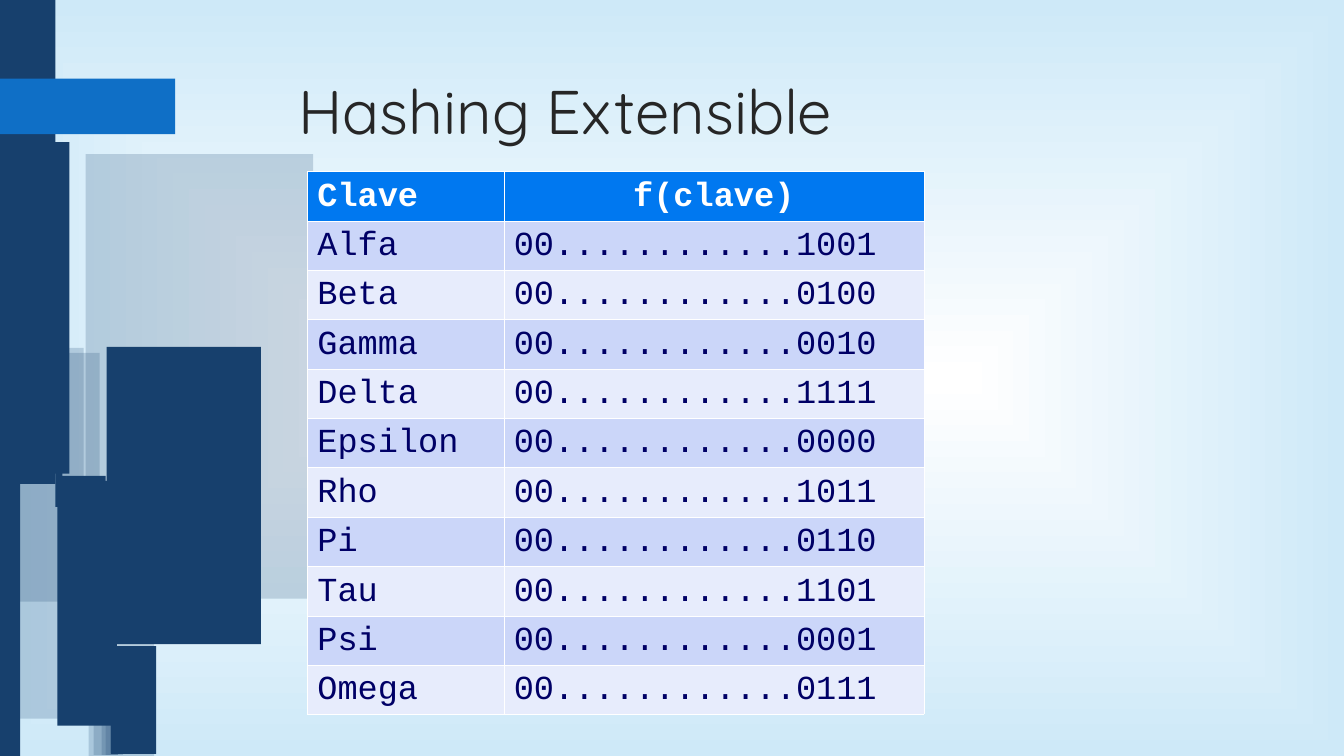
from lxml.etree import SubElement
from pptx import Presentation
from pptx.dml.color import RGBColor
from pptx.enum.shapes import MSO_SHAPE
from pptx.enum.text import MSO_ANCHOR, PP_ALIGN
from pptx.oxml import parse_xml
from pptx.oxml.ns import nsdecls, qn
from pptx.util import Inches, Pt

NAVY, BLUE, WHITE = "17406D", "0F6FC6", "FFFFFF"
HEADER_FILL, BAND_FILLS, BODY_TEXT = "0078F0", ("CBD6F9", "E7ECFC"), "000066"

PALE_BLOCKS = [
    (0, 2.82, 0.09, 0.67), (0.14, 3.45, 0.69, 2.52), (0.88, 5.96, 0.65, 1.54),
    (1.05, 7.11, 0.17, 0.38), (0.11, 3.5, 0.88, 3.63), (0.85, 1.53, 2.26, 4.41),
    (1.01, 7.14, 0.16, 0.35), (0.93, 6.83, 0.24, 0.66),
]
SOLID_BLOCKS = [
    (0.03, 0, 0.52, 4.8), (0.6, 4.72, 0.45, 1.71), (1.1, 6.41, 0.45, 1.07),
    (0.57, 4.77, 0.59, 2.43), (0.51, 1.41, 0.18, 3.29), (1.22, 7.19, 0.13, 0.29),
    (0.55, 4.49, 0.07, 0.54), (1.06, 3.44, 1.53, 2.95), (1.17, 7.22, 0.12, 0.26),
    (1.06, 6.45, 0.14, 0.72), (1.06, 6.31, 0.03, 0.23), (1.1, 6.91, 0.21, 0.56),
    (0, 0, 0.2, 7.5),
]
HASHES = [
    ("Alfa", "1001"), ("Beta", "0100"), ("Gamma", "0010"), ("Delta", "1111"),
    ("Epsilon", "0000"), ("Rho", "1011"), ("Pi", "0110"), ("Tau", "1101"),
    ("Psi", "0001"), ("Omega", "0111"),
]


def color(value):
    """Turn a hex string into a colour."""
    return RGBColor.from_string(value)


def paint_background(page):
    """Fill the page with a gradient that is white in the centre."""
    fill = page.background.fill
    fill.gradient()
    for stop, value in zip(fill.gradient_stops, (WHITE, "CEE9F8")):
        stop.color.rgb = color(value)
    gradient = page.background._cSld.find(".//" + qn("a:gradFill"))
    gradient.replace(gradient.find(qn("a:lin")), parse_xml(
        f'<a:path {nsdecls("a")} path="rect">'
        '<a:fillToRect l="50000" t="50000" r="50000" b="50000"/></a:path>'))


def add_block(page, box, value, opacity=100):
    """Draw one plain rectangle, with its opacity in percent."""
    block = page.shapes.add_shape(MSO_SHAPE.RECTANGLE, *map(Inches, box))
    block.shadow.inherit = False
    block.line.fill.background()
    block.fill.solid()
    block.fill.fore_color.rgb = color(value)
    if opacity < 100:
        tone = block.fill._xPr.find(".//" + qn("a:srgbClr"))
        SubElement(tone, qn("a:alpha"), val=str(opacity * 1000))


def add_decoration(page, left, top):
    """Place the blocks along the left side of the page."""
    layers = [(PALE_BLOCKS, NAVY, 20), (SOLID_BLOCKS, NAVY, 100),
              ([(0, 0.78, 1.74, 0.55)], BLUE, 100)]
    for blocks, value, opacity in layers:
        for x, y, width, height in blocks:
            add_block(page, (left + x, top + y, width, height), value, opacity)


def set_font(para, name, size, value, bold=False):
    """Set the font of a whole paragraph."""
    font = para.font
    font.name, font.size, font.bold = name, Pt(size), bold
    font.color.rgb = color(value)


def add_title(page, box, text):
    """Write the page title in its box."""
    frame = page.shapes.add_textbox(*map(Inches, box)).text_frame
    frame.word_wrap = True
    frame.text = text
    set_font(frame.paragraphs[0], "Quicksand", 44, "262626")


def add_borders(cell, widths):
    """Draw white cell borders with widths in points: left, right, top, bottom."""
    properties = cell._tc.get_or_add_tcPr()
    for index, (side, width) in enumerate(zip("LRTB", widths)):
        properties.insert(index, parse_xml(
            f'<a:ln{side} {nsdecls("a")} w="{Pt(width)}"><a:solidFill>'
            f'<a:srgbClr val="{WHITE}"/></a:solidFill></a:ln{side}>'))


def add_hash_table(page, box, column_widths):
    """Fill the banded table of keys and their hash values."""
    rows = [("Clave", "f(clave)")]
    rows += [(key, "00" + "." * 12 + ending) for key, ending in HASHES]
    table = page.shapes.add_table(len(rows), 2, *map(Inches, box)).table
    for column, width in zip(table.columns, column_widths):
        column.width = Inches(width)
    for index, texts in enumerate(rows):
        header = index == 0
        table.rows[index].height = Inches(box[3] / len(rows))
        top = 0.34 if index == 1 else 0.11
        bottom = 0.34 if header else 0.11
        for cell, text in zip(table.rows[index].cells, texts):
            cell.text = text
            cell.vertical_anchor = MSO_ANCHOR.MIDDLE
            cell.fill.solid()
            cell.fill.fore_color.rgb = color(
                HEADER_FILL if header else BAND_FILLS[(index - 1) % 2])
            add_borders(cell, (0.11, 0.11, top, bottom))
            para = cell.text_frame.paragraphs[0]
            para.line_spacing = 0.88
            set_font(para, "Courier New", 24, WHITE if header else BODY_TEXT, header)
    table.cell(0, 1).text_frame.paragraphs[0].alignment = PP_ALIGN.CENTER


def main():
    """Build the deck and save it."""
    deck = Presentation()
    deck.slide_width, deck.slide_height = Inches(13.34), Inches(7.5)
    page = deck.slides.add_slide(deck.slide_layouts[6])
    paint_background(page)
    add_decoration(page, 0, 0)
    add_title(page, (2.86, 0.67, 9.75, 0.99), "Hashing Extensible")
    add_hash_table(page, (3.05, 1.7, 6.12, 5.39), (1.95, 4.17))
    deck.save("out.pptx")


if __name__ == "__main__":
    main()
